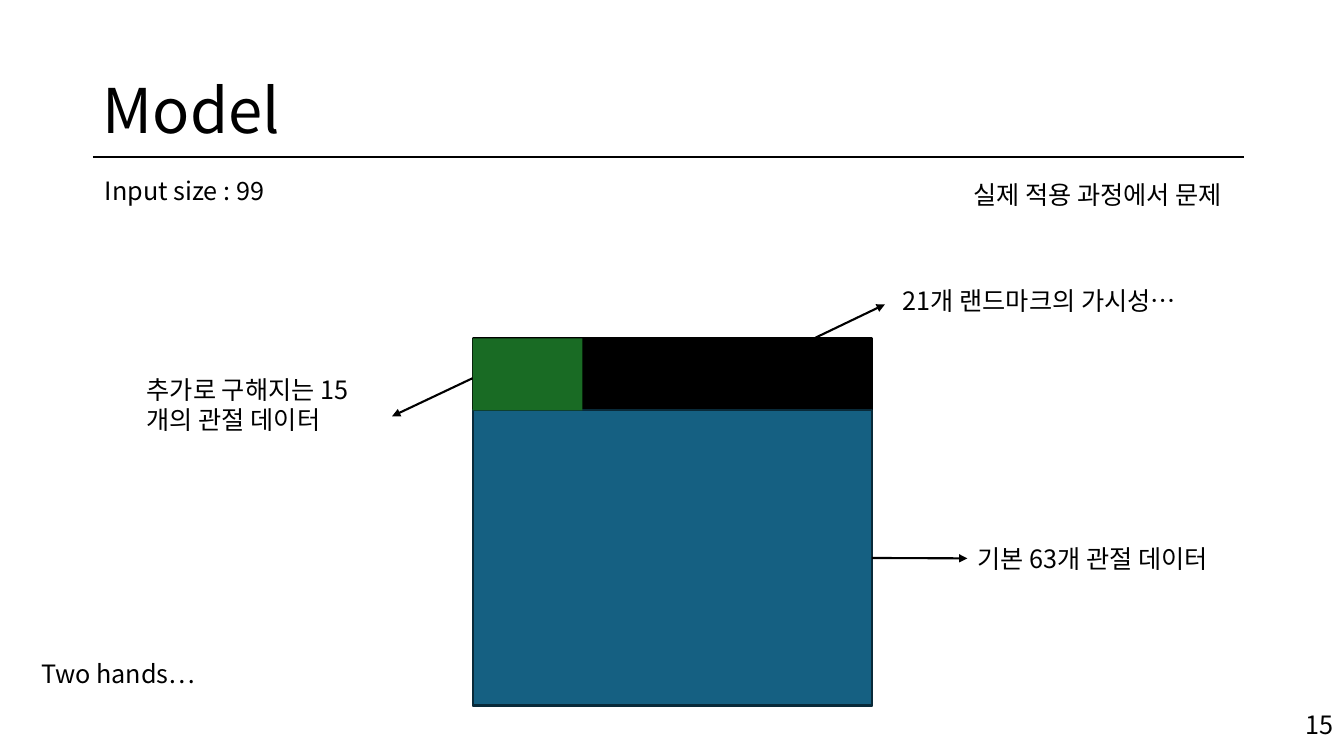
from dataclasses import dataclass

from lxml import etree
from pptx import Presentation
from pptx import util as u
from pptx.dml.color import RGBColor
from pptx.enum import shapes, text
from pptx.oxml.ns import qn


@dataclass(frozen=True)
class Theme:
    font: str = "Noto Sans CJK JP"
    ink: str = "000000"
    blue: str = "156082"
    blue_edge: str = "092A39"
    green: str = "196B24"
    title_size: int = 44
    body_size: int = 18
    stroke: float = 1.5


THEME = Theme()


def add_text(page, words, left, top, width, height=1.02, size=THEME.body_size,
             align=text.PP_ALIGN.LEFT, anchor=text.MSO_ANCHOR.TOP,
             spacing=1.0, grow=True):
    box = page.shapes.add_textbox(u.Cm(left), u.Cm(top), u.Cm(width), u.Cm(height))
    frame = box.text_frame
    frame.word_wrap = True
    frame.vertical_anchor = anchor
    fit = text.MSO_AUTO_SIZE
    frame.auto_size = fit.SHAPE_TO_FIT_TEXT if grow else fit.NONE
    para = frame.paragraphs[0]
    para.alignment = align
    para.line_spacing = spacing
    span = para.add_run()
    span.text = words
    span.font.name = THEME.font
    span.font.size = u.Pt(size)
    span.font.color.rgb = RGBColor.from_string(THEME.ink)
    etree.SubElement(span.font._element, qn("a:ea"), typeface=THEME.font)
    return box


def add_block(page, left, top, width, height, fill, edge=None):
    block = page.shapes.add_shape(
        shapes.MSO_SHAPE.RECTANGLE, u.Cm(left), u.Cm(top), u.Cm(width), u.Cm(height))
    block.shadow.inherit = False
    block.fill.solid()
    block.fill.fore_color.rgb = RGBColor.from_string(fill)
    if edge:
        block.line.color.rgb = RGBColor.from_string(edge)
        block.line.width = u.Pt(THEME.stroke)
    else:
        block.line.fill.background()
    return block


def add_line(page, start, end, arrow=True):
    line = page.shapes.add_connector(
        shapes.MSO_CONNECTOR.STRAIGHT, *map(u.Cm, start + end))
    line.line.color.rgb = RGBColor.from_string(THEME.ink)
    line.line.width = u.Pt(THEME.stroke)
    if arrow:
        etree.SubElement(line.line._get_or_add_ln(), qn("a:tailEnd"), type="triangle")
    etree.SubElement(line._element.spPr, qn("a:effectLst"))
    return line


def add_heading(page):
    add_text(page, "15", 26.24, 17.75, 7.62, align=text.PP_ALIGN.RIGHT, grow=False)
    add_line(page, (2.34, 3.96), (31.34, 3.96), arrow=False)
    add_text(page, "Model", 2.34, 1.02, 29.21, 3.68, size=THEME.title_size,
             anchor=text.MSO_ANCHOR.MIDDLE, spacing=0.9, grow=False)


def add_input_diagram(page):
    left, top, width, height, band = 11.91, 8.53, 10.06, 9.25, 1.81
    add_block(page, left, top, width, height, THEME.ink, THEME.ink)
    joints = add_block(page, left, top + band, width, height - band,
                       THEME.blue, THEME.blue_edge)
    add_block(page, left, top, 2.77, band, THEME.green)

    joints_label = add_text(page, "기본 63개 관절 데이터", 24.38, 13.56, 9.09)
    joints_arrow = add_line(page, (21.97, 14.07), (24.38, 14.07))
    joints_arrow.begin_connect(joints, 3)
    joints_arrow.end_connect(joints_label, 1)

    add_text(page, "추가로 구해지는 15개의 관절 데이터", 3.45, 9.3, 6.68, 1.8)
    add_line(page, (left, 9.53), (9.88, 10.49))
    add_text(page, "21개 랜드마크의 가시성…", 22.5, 7.06, 9.09)
    add_line(page, (20.55, 8.51), (22.3, 7.67))


def main():
    deck = Presentation()
    deck.slide_width, deck.slide_height = u.Cm(33.87), u.Cm(19.05)
    page = deck.slides.add_slide(deck.slide_layouts[6])
    add_heading(page)
    add_text(page, "Input size : 99", 2.39, 4.29, 6.63)
    add_text(page, "실제 적용 과정에서 문제", 24.28, 4.39, 7.32)
    add_input_diagram(page)
    add_text(page, "Two hands…", 0.79, 16.46, 6.68)
    deck.save("out.pptx")


if __name__ == "__main__":
    main()
